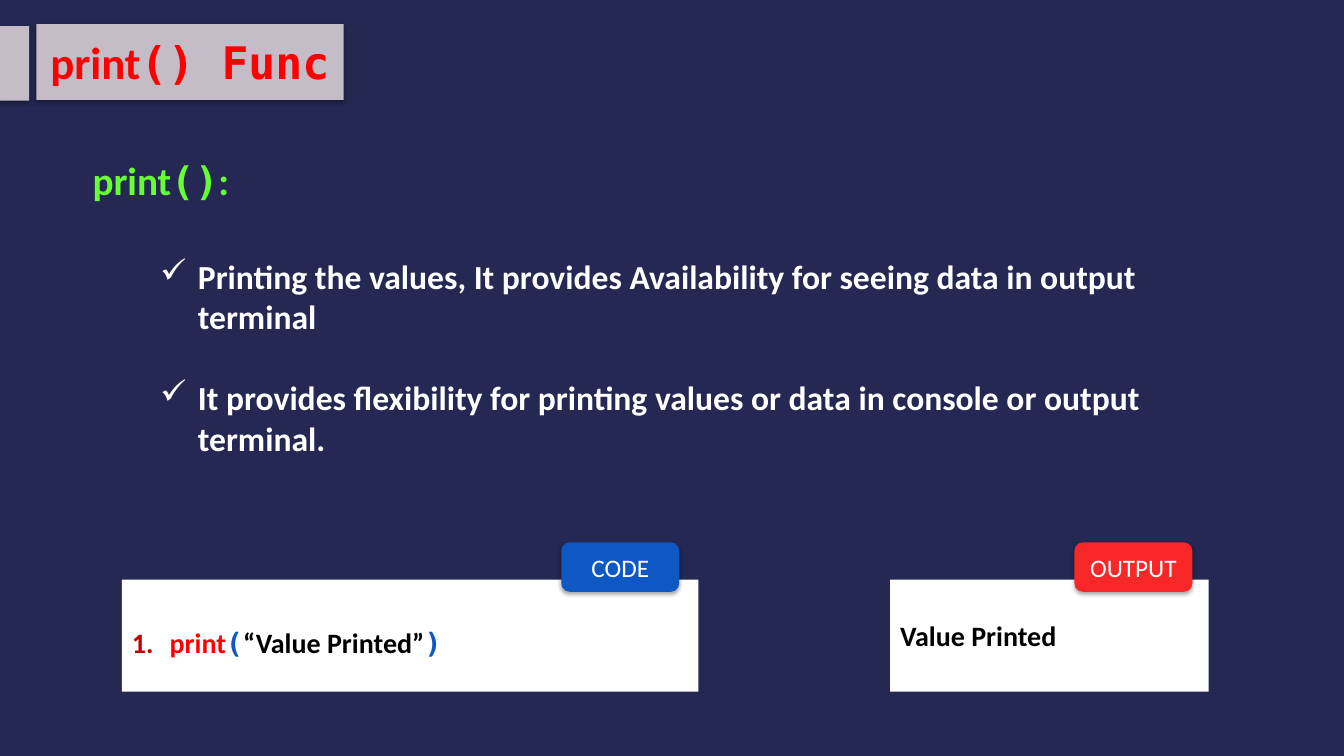
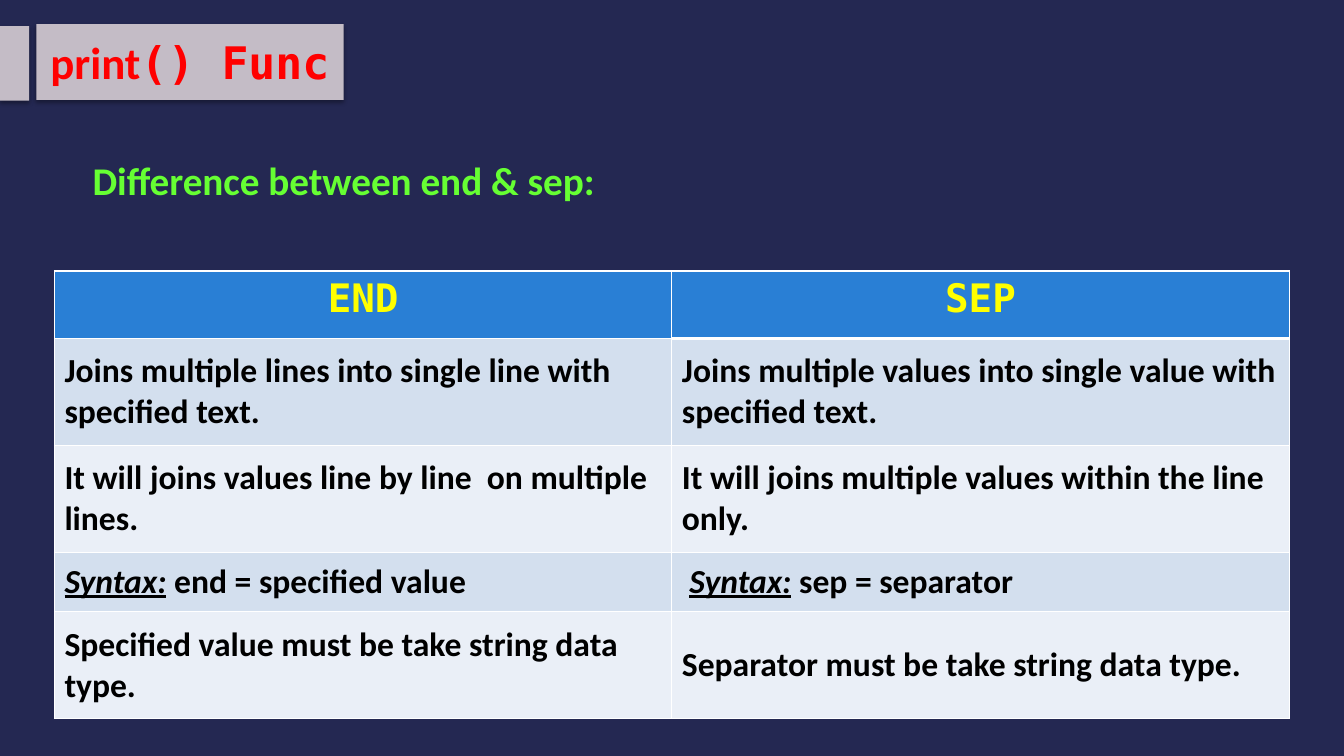
from pptx import Presentation
from pptx.dml.color import RGBColor
from pptx.enum.shapes import MSO_SHAPE
from pptx.enum.text import MSO_ANCHOR, MSO_AUTO_SIZE, PP_ALIGN
from pptx.oxml import parse_xml
from pptx.oxml.ns import nsdecls, qn
from pptx.util import Pt

SANS = "Calibri"
MONO = "DejaVu Sans Mono"
NAVY = "242852"
BAND = "C4BCC6"
RED = "FF0000"
GREEN = "66FF33"
BLUE = "0E58C4"
BLACK = "000000"
WHITE = "FFFFFF"
YELLOW = "FFFF00"
HEADER_FILL = "297FD5"
ROW_FILLS = ["D3DFEE", "EAEFF7"]
HANGING = 27

color = RGBColor.from_string


def add_runs(paragraph, size, runs, bold=True):
    for text, font_name, hex_color in runs:
        run = paragraph.add_run()
        run.text = text
        run.font.name = font_name
        run.font.size = Pt(size)
        run.font.bold = bold
        run.font.color.rgb = color(hex_color)
        if text == "Syntax:":
            run.font.italic = True
            run.font.underline = True


def style_box(shape, fill, shadow):
    shape.fill.solid()
    shape.fill.fore_color.rgb = color(fill)
    shape.line.fill.background()
    shape.shadow.inherit = False
    if shadow:
        effects = shape._element.spPr.find(qn("a:effectLst"))
        effects.append(parse_xml(
            f'<a:outerShdw {nsdecls("a")} blurRad="{Pt(3.1)}" dist="{Pt(1.8)}" '
            'dir="5400000" rotWithShape="0"><a:srgbClr val="000000">'
            '<a:alpha val="35000"/></a:srgbClr></a:outerShdw>'))


presentation = Presentation()
presentation.slide_width = Pt(960)
presentation.slide_height = Pt(540)
background = presentation.slide_master.background.fill
background.solid()
background.fore_color.rgb = color(NAVY)

headings = [
    [("print", SANS, GREEN), ("()", MONO, GREEN), (": ", SANS, GREEN)],
    [("Difference between end & sep:", SANS, GREEN)],
]
slides = []
for heading_runs in headings:
    slide = presentation.slides.add_slide(presentation.slide_layouts[5])
    slides.append(slide)

    tab = slide.shapes.add_shape(MSO_SHAPE.RECTANGLE, Pt(0), Pt(18.7), Pt(20.9), Pt(53.3))
    style_box(tab, BAND, True)

    title = slide.shapes.title
    title.left, title.top, title.width, title.height = Pt(25.9), Pt(17.3), Pt(219.6), Pt(54)
    style_box(title, BAND, True)
    title.text_frame.auto_size = MSO_AUTO_SIZE.NONE
    title.text_frame.word_wrap = True
    title.text_frame.vertical_anchor = MSO_ANCHOR.MIDDLE
    paragraph = title.text_frame.paragraphs[0]
    paragraph.alignment = PP_ALIGN.CENTER
    add_runs(paragraph, 32, [("print", SANS, RED), ("() Func", MONO, RED)])

    heading = slide.shapes.add_textbox(Pt(59), Pt(108), Pt(630), Pt(60))
    heading.text_frame.word_wrap = True
    add_runs(heading.text_frame.paragraphs[0], 28, heading_runs)

print_slide, difference_slide = slides

points = [
    "Printing the values, It provides Availability for seeing data in output terminal",
    "It provides flexibility for printing values or data in console or output terminal.",
]
point_box = print_slide.shapes.add_textbox(Pt(107.3), Pt(179.3), Pt(724.3), Pt(181.4))
point_frame = point_box.text_frame
point_frame.word_wrap = True
for index, point in enumerate(points):
    paragraph = point_frame.add_paragraph() if index else point_frame.paragraphs[0]
    paragraph.space_before = Pt(29 * index)
    add_runs(paragraph, 24, [(point, SANS, WHITE)])
    properties = paragraph._p.get_or_add_pPr()
    properties.set("marL", str(Pt(HANGING)))
    properties.set("indent", str(Pt(-HANGING)))
    properties.append(parse_xml(f'<a:buChar {nsdecls("a")} char="\u2713"/>'))

code_runs = [("print", SANS, RED), ("(", MONO, BLUE),
             ("\u201cValue Printed\u201d", SANS, BLACK), (")", MONO, BLUE)]
output_runs = [("Value Printed", SANS, BLACK)]
panels = [
    ("CODE", BLUE, 87.1, 411.8, 401, 33, code_runs),
    ("OUTPUT", "F82828", 635.8, 227.5, 767.5, 28, output_runs),
]
for label, badge_fill, left, width, badge_left, text_top, runs in panels:
    panel = print_slide.shapes.add_shape(
        MSO_SHAPE.RECTANGLE, Pt(left), Pt(414), Pt(width), Pt(80))
    style_box(panel, WHITE, False)
    panel.text_frame.word_wrap = True
    panel.text_frame.vertical_anchor = MSO_ANCHOR.TOP
    panel.text_frame.margin_top = Pt(text_top)
    paragraph = panel.text_frame.paragraphs[0]
    paragraph.alignment = PP_ALIGN.LEFT
    add_runs(paragraph, 20, runs)
    if label == "CODE":
        properties = paragraph._p.get_or_add_pPr()
        properties.set("marL", str(Pt(HANGING)))
        properties.set("indent", str(Pt(-HANGING)))
        properties.append(parse_xml(
            f'<a:buClr {nsdecls("a")}><a:srgbClr val="C00000"/></a:buClr>'))
        properties.append(parse_xml(
            f'<a:buAutoNum {nsdecls("a")} type="arabicPeriod"/>'))

    badge = print_slide.shapes.add_shape(
        MSO_SHAPE.ROUNDED_RECTANGLE, Pt(badge_left), Pt(387.4), Pt(84.2), Pt(35.3))
    style_box(badge, badge_fill, True)
    badge.text_frame.word_wrap = False
    badge.text_frame.vertical_anchor = MSO_ANCHOR.MIDDLE
    paragraph = badge.text_frame.paragraphs[0]
    paragraph.alignment = PP_ALIGN.CENTER
    add_runs(paragraph, 18, [(label, SANS, WHITE)], bold=False)

rows = [
    (48.2, ["END"], ["SEP"]),
    (76.4, ["Joins multiple lines into single line with specified text."],
     ["Joins multiple values into single value with specified text."]),
    (76.4, ["It will joins values line by line  on multiple lines."],
     ["It will joins multiple values within the line only."]),
    (42.4, ["Syntax:", " end = specified value"], [" ", "Syntax:", " sep = separator"]),
    (76.4, ["Specified value must be take string data type."],
     ["Separator must be take string data type."]),
]
table = difference_slide.shapes.add_table(
    len(rows), 2, Pt(38.9), Pt(193.6), Pt(882), Pt(319.8)).table
for column in table.columns:
    column.width = Pt(441)
for row_index, (height, *texts) in enumerate(rows):
    table.rows[row_index].height = Pt(height)
    is_header = row_index == 0
    for column_index, parts in enumerate(texts):
        cell = table.cell(row_index, column_index)
        cell.fill.solid()
        cell.fill.fore_color.rgb = color(
            HEADER_FILL if is_header else ROW_FILLS[(row_index - 1) % 2])
        cell.vertical_anchor = MSO_ANCHOR.TOP if is_header else MSO_ANCHOR.MIDDLE
        paragraph = cell.text_frame.paragraphs[0]
        paragraph.alignment = PP_ALIGN.CENTER if is_header else PP_ALIGN.LEFT
        size, font_name, hex_color = (28, MONO, YELLOW) if is_header else (24, SANS, BLACK)
        add_runs(paragraph, size, [(part, font_name, hex_color) for part in parts])

        thick_side = {(0, 1): "lnB", (1, 1): "lnT"}.get((row_index, column_index))
        for position, side in enumerate(["lnL", "lnR", "lnT", "lnB"]):
            weight = Pt(3 if side == thick_side else 1)
            cell._tc.get_or_add_tcPr().insert(position, parse_xml(
                f'<a:{side} {nsdecls("a")} w="{weight}"><a:solidFill>'
                f'<a:srgbClr val="{WHITE}"/></a:solidFill></a:{side}>'))

presentation.save("out.pptx")
